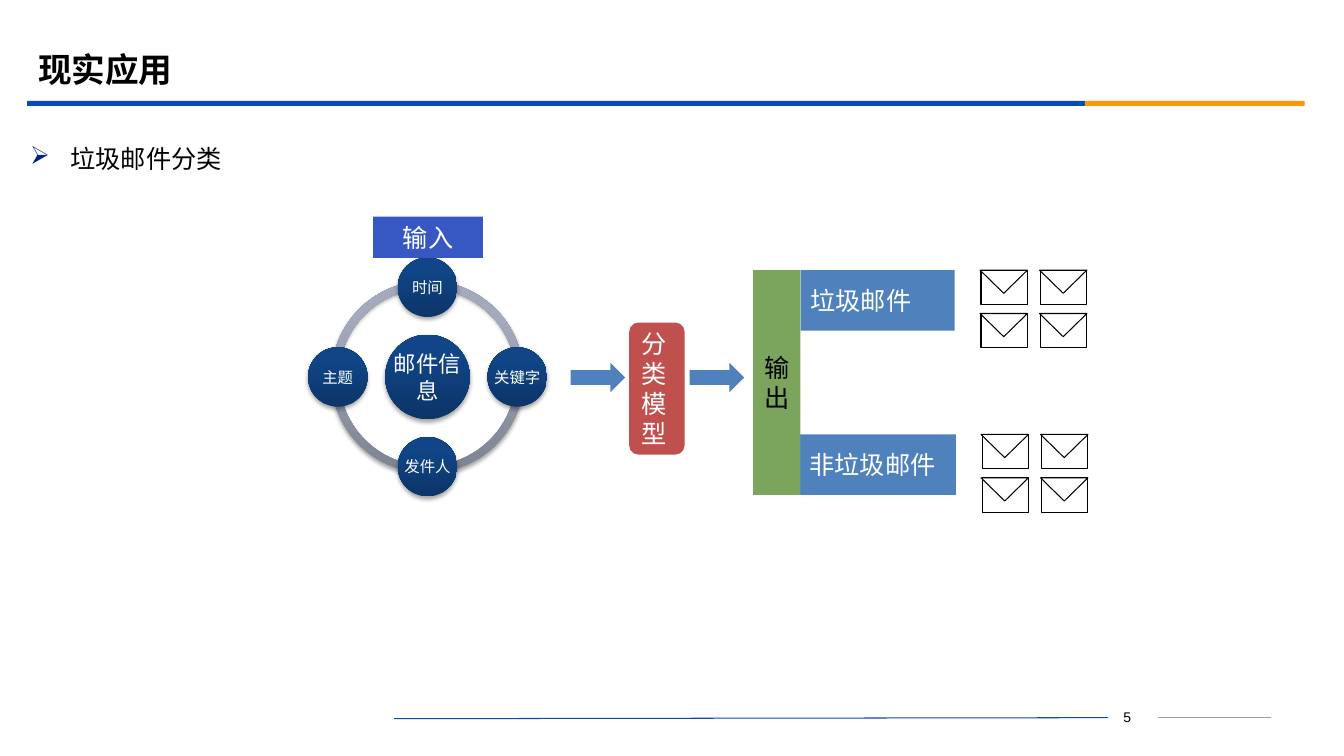
from lxml import etree
from pptx import Presentation, util as u
from pptx.dml.color import RGBColor
from pptx.enum import shapes, text
from pptx.oxml.ns import qn

# Content: boxes are (left, top, width, height) in px, 100 px to the inch
PX = 9144
COLORS = dict(blue="064BB2", orange="FB9708", grey="A0A0A0", bullet="032089",
              black="000000", white="FFFFFF", red="C0504D", steel="4F81BD",
              indigo="3758C2", green="7BA45D", ring_low="7E8391",
              ring_high="A4AABC", disc_low="0D3568", disc_high="104587")
CJK = "Noto Sans CJK SC"

TITLE = ("现实应用", (28, 39, 1200, 58))
TOPIC = ("垃圾邮件分类", (20, 122, 1215, 60))
PAGE = ("5", (1087, 699, 62, 25))
BARS = [((27, 100, 1049, 5), "blue"), ((1076, 100, 218, 5), "orange")]
FOOTER_LINES = [((391, 713), (1099, 712), "blue"),
                ((1149, 712), (1261, 712), "grey")]

CENTER = (424, 374)
RING_SIZE, HUB_SIZE, NODE_SIZE, ORBIT = 191, 84, 59, 89
HUB = "邮件信息"
NODES = [("时间", 0, -1), ("关键字", 1, 0), ("发件人", 0, 1), ("主题", -1, 0)]
QUARTERS = [162, 0, 54, 108]  # arc starts: 54 is a quarter turn

ARROWS = [(566, 360, 54, 29), (684, 360, 54, 29)]
RECT = shapes.MSO_SHAPE.RECTANGLE
ROUND = shapes.MSO_SHAPE.ROUNDED_RECTANGLE
LEFT, MIDDLE = text.PP_ALIGN.LEFT, text.PP_ALIGN.CENTER
# label, shape, box, fill, font, font colour, alignment
BLOCKS = [
    ("分类模型", ROUND, (624, 320, 55, 131), "red", CJK, "white", LEFT),
    ("垃圾邮件", RECT, (794, 268, 153, 60), "steel", "Arial", "white", LEFT),
    ("非垃圾邮件", RECT, (793, 431, 155, 60), "steel", "Arial", "white", LEFT),
    ("输入", RECT, (370, 215, 109, 41), "indigo", "Arial", "white", MIDDLE),
    ("输出", RECT, (747, 268, 47, 223), "green", CJK, "black", MIDDLE),
]
MAIL_GROUPS = [(973, 268), (974, 431)]
MAIL_STEP = (59, 43)

prs = Presentation()
prs.slide_width, prs.slide_height = 1333 * PX, 750 * PX
s = prs.slides.add_slide(prs.slide_layouts[6])


def emu(values):
    return [round(v * PX) for v in values]


def color(name):
    return RGBColor.from_string(COLORS[name])


def centered(x, y, size):
    return (x - size / 2, y - size / 2, size, size)


def add_shape(kind, box, fill=None, line=None):
    sp = s.shapes.add_shape(kind, *emu(box))
    sp.shadow.inherit = False
    if fill:
        sp.fill.solid()
        sp.fill.fore_color.rgb = color(fill)
    else:
        sp.fill.background()
    if line:
        sp.line.color.rgb = color(line)
        sp.line.width = u.Pt(0.75)
    else:
        sp.line.fill.background()
    return sp


def add_glossy(kind, box, low, high):
    """Shape with a vertical gradient and a soft shadow below it."""
    sp = add_shape(kind, box)
    sp.fill.gradient()
    sp.fill.gradient_angle = 90
    for stop, name, pos in zip(sp.fill.gradient_stops, (low, high), (0, 0.8)):
        stop.color.rgb = color(name)
        stop.position = pos
    effects = sp._element.spPr.find(qn("a:effectLst"))
    shadow = etree.SubElement(effects, qn("a:outerShdw"), blurRad="39370",
                              dist="22860", dir="5400000", rotWithShape="0")
    rgb = etree.SubElement(shadow, qn("a:srgbClr"), val=COLORS["black"])
    etree.SubElement(rgb, qn("a:alpha"), val="35000")
    return sp


def write(sp, label, size, font, name, align=LEFT, bold=False,
          anchor=text.MSO_ANCHOR.MIDDLE, spacing=None, inset=None):
    tf = sp.text_frame
    tf.word_wrap = True
    tf.vertical_anchor = anchor
    if inset is not None:
        tf.margin_left = tf.margin_right = inset * PX
        tf.margin_top = tf.margin_bottom = inset * PX
    p = tf.paragraphs[0]
    p.alignment = align
    p.line_spacing = spacing
    r = p.add_run()
    r.text = label
    r.font.size, r.font.name, r.font.bold = u.Pt(size), font, bold
    r.font.color.rgb = color(name)
    etree.SubElement(r._r.get_or_add_rPr(), qn("a:ea"), typeface=CJK)
    return p


def add_text(box, *args, **kwargs):
    return write(s.shapes.add_textbox(*emu(box)), *args, **kwargs)


# Frame: title, bars, footer
label, box = TITLE
add_text(box, label, 24, "Montserrat", "black", bold=True)
for box, fill in BARS:
    add_shape(RECT, box, fill)
for start, end, name in FOOTER_LINES:
    line = s.shapes.add_connector(shapes.MSO_CONNECTOR.STRAIGHT,
                                  *emu(start + end))
    line.line.color.rgb = color(name)
    line.line.width = u.Pt(0.75)
    etree.SubElement(line._element.spPr, qn("a:effectLst"))
label, box = PAGE
add_text(box, label, 10, "Arial", "black", MIDDLE)

# Bulleted topic
label, box = TOPIC
p = add_text(box, label, 18, "Times New Roman", "black",
             anchor=text.MSO_ANCHOR.TOP, spacing=1.5)
p.space_before = u.Pt(3.6)
pPr = p._p.get_or_add_pPr()
pPr.set("marL", str(40 * PX))
pPr.set("indent", str(-40 * PX))
bullet_color = etree.SubElement(pPr, qn("a:buClr"))
etree.SubElement(bullet_color, qn("a:srgbClr"), val=COLORS["bullet"])
etree.SubElement(pPr, qn("a:buChar"), char="➢")

# Ring of mail features around the hub
cx, cy = CENTER
for start in QUARTERS:
    arc = add_glossy(shapes.MSO_SHAPE.BLOCK_ARC, centered(cx, cy, RING_SIZE),
                     "ring_low", "ring_high")
    for i, value in enumerate((start, (start + 54) % 216, 0.04)):
        arc.adjustments[i] = value
discs = [(HUB, centered(cx, cy, HUB_SIZE), 16)]
discs += [(label, centered(cx + dx * ORBIT, cy + dy * ORBIT, NODE_SIZE), 11)
          for label, dx, dy in NODES]
for label, box, size in discs:
    add_glossy(shapes.MSO_SHAPE.OVAL, box, "disc_low", "disc_high")
    add_text(box, label, size, "Arial", "white", MIDDLE,
             spacing=u.Pt(size * 1.2), inset=2)

# Flow: arrows and blocks
for box in ARROWS:
    add_shape(shapes.MSO_SHAPE.RIGHT_ARROW, box, "steel")
for label, kind, box, fill, font, name, align in BLOCKS:
    write(add_shape(kind, box, fill), label, 18, font, name, align,
          spacing=u.Pt(21.6))

# Envelopes: two by two beside each result
for left, top in MAIL_GROUPS:
    for i in range(4):
        x = left + i % 2 * MAIL_STEP[0]
        y = top + i // 2 * MAIL_STEP[1]
        add_shape(RECT, (x, y, 46, 34), line="black")
        flap = add_shape(shapes.MSO_SHAPE.ISOSCELES_TRIANGLE,
                         (x - 1, y, 47, 23), line="black")
        flap.rotation = 180

prs.save("out.pptx")
